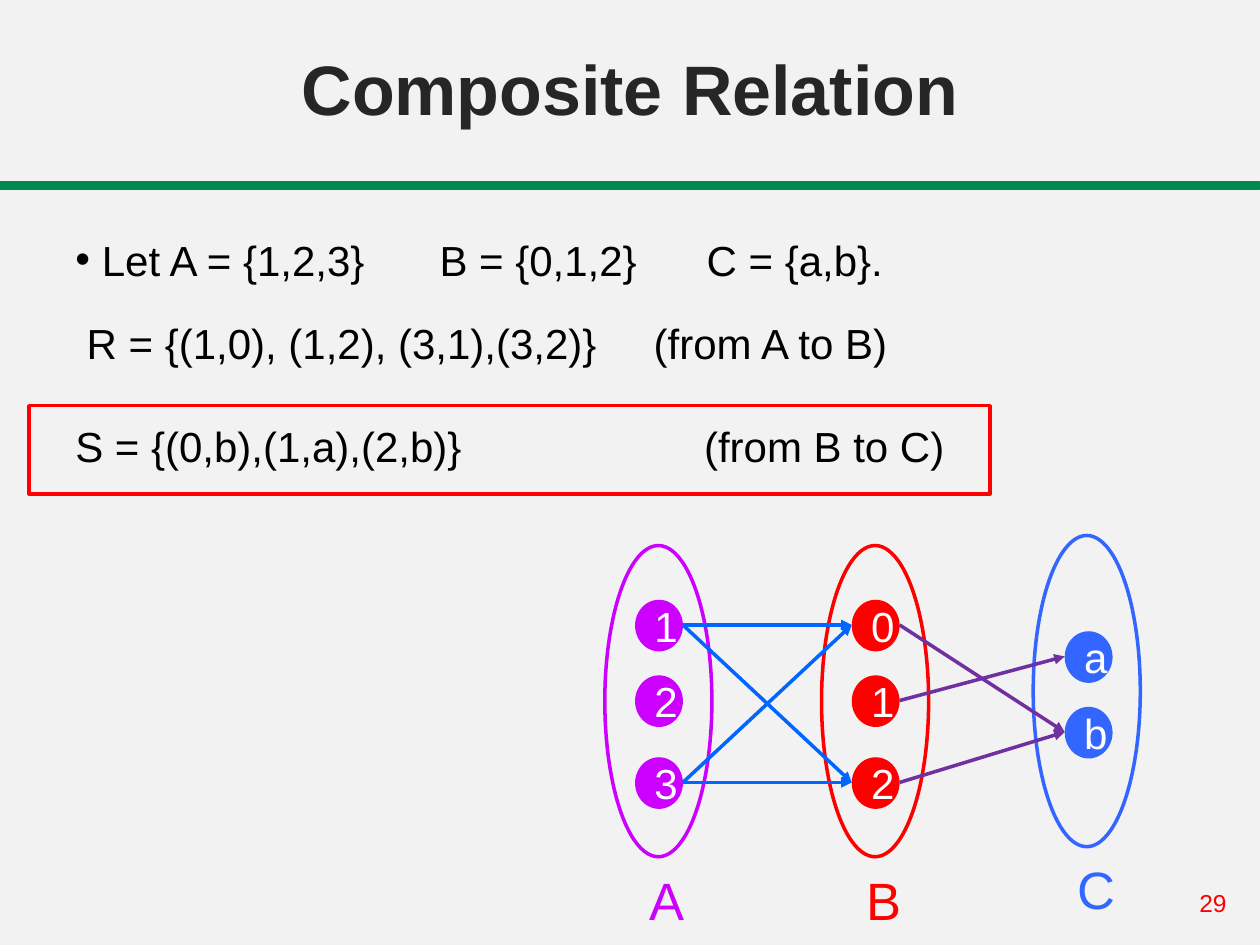
"""Build the Composite Relation slide with its three-set arrow diagram."""
import dataclasses
import typing

import lxml.etree
import pptx
import pptx.dml.color
import pptx.enum.shapes
import pptx.enum.text
import pptx.oxml.ns
import pptx.util

EMU_PER_PX = 9144
FONT = "Arial"
BLACK, WHITE, RED = "000000", "FFFFFF", "FF0000"
PURPLE, BLUE, GREEN = "CC00FF", "3366FF", "018952"
ARROW_BLUE, ARROW_PURPLE = "0066FF", "7030A0"
NODE_WIDTH, NODE_HEIGHT = 38, 41
OVAL_WIDTH, OVAL_HEIGHT = 85, 247
SHAPES = pptx.enum.shapes.MSO_SHAPE
ALIGN = pptx.enum.text.PP_ALIGN
ANCHOR = pptx.enum.text.MSO_ANCHOR


@dataclasses.dataclass(frozen=True)
class Box:
    left: int
    top: int
    width: int
    height: int


@dataclasses.dataclass(frozen=True)
class RelationSet:
    name: str
    color: str
    oval_left: int
    oval_top: int
    node_left: int
    node_tops: dict[str, int]
    label_left: int
    label_top: int


@dataclasses.dataclass(frozen=True)
class Relation:
    source: RelationSet
    target: RelationSet
    color: str
    pairs: tuple[str, ...]


SET_A = RelationSet("A", PURPLE, 480, 433, 504, {"1": 476, "2": 536, "3": 601}, 506, 684)
SET_B = RelationSet("B", RED, 652, 433, 676, {"0": 476, "1": 536, "2": 601}, 678, 684)
SET_C = RelationSet("C", BLUE, 820, 425, 845, {"a": 501, "b": 561}, 845, 675)
RELATIONS = (
    Relation(SET_A, SET_B, ARROW_BLUE, ("10", "12", "30", "32")),
    Relation(SET_B, SET_C, ARROW_PURPLE, ("0b", "1a", "2b")),
)


def px(length: int) -> pptx.util.Emu:
    """Convert pixels to EMU."""
    return pptx.util.Emu(length * EMU_PER_PX)


def rgb(color: str) -> pptx.dml.color.RGBColor:
    """Turn a hex string into a colour."""
    return pptx.dml.color.RGBColor.from_string(color)


def place(shape: typing.Any, box: Box) -> None:
    """Move and size a shape."""
    shape.left, shape.top = px(box.left), px(box.top)
    shape.width, shape.height = px(box.width), px(box.height)


def add_run(paragraph: typing.Any, text: str, size: int, color: str, bold: bool = False) -> None:
    """Append a formatted run."""
    run = paragraph.add_run()
    run.text = text
    run.font.name, run.font.size, run.font.bold = FONT, pptx.util.Pt(size), bold
    run.font.color.rgb = rgb(color)


def add_text(slide: typing.Any, box: Box, text: str, size: int = 24, color: str = BLACK) -> typing.Any:
    """Add a one-paragraph text box and return its frame."""
    frame = slide.shapes.add_textbox(*map(px, dataclasses.astuple(box))).text_frame
    frame.word_wrap = True
    add_run(frame.paragraphs[0], text, size, color)
    return frame


def set_indent(paragraph: typing.Any, margin: int, indent: int = 0) -> typing.Any:
    """Indent a paragraph and return its properties element."""
    properties = paragraph._p.get_or_add_pPr()
    properties.set("marL", str(px(margin)))
    properties.set("indent", str(px(indent)))
    return properties


def add_bullet(paragraph: typing.Any, margin: int) -> None:
    """Give a paragraph a round bullet with a hanging indent."""
    properties = set_indent(paragraph, margin, -margin)
    font = lxml.etree.SubElement(properties, pptx.oxml.ns.qn("a:buFont"))
    font.set("typeface", FONT)
    bullet = lxml.etree.SubElement(properties, pptx.oxml.ns.qn("a:buChar"))
    bullet.set("char", "•")


def add_tab_stop(paragraph: typing.Any, position: int) -> None:
    """Add a left tab stop to a paragraph."""
    properties = paragraph._p.get_or_add_pPr()
    tabs = lxml.etree.SubElement(properties, pptx.oxml.ns.qn("a:tabLst"))
    tab = lxml.etree.SubElement(tabs, pptx.oxml.ns.qn("a:tab"))
    tab.set("pos", str(px(position)))
    tab.set("algn", "l")


def add_shape(slide: typing.Any, kind: typing.Any, box: Box, fill: str = "",
              line: str = "", weight: float = 2) -> typing.Any:
    """Add a preset shape with an optional fill and outline."""
    shape = slide.shapes.add_shape(kind, *map(px, dataclasses.astuple(box)))
    shape.shadow.inherit = False
    if fill:
        shape.fill.solid()
        shape.fill.fore_color.rgb = rgb(fill)
    else:
        shape.fill.background()
    if line:
        shape.line.color.rgb = rgb(line)
        shape.line.width = pptx.util.Pt(weight)
    else:
        shape.line.fill.background()
    return shape


def add_set(slide: typing.Any, group: RelationSet) -> None:
    """Draw a set as an oval with its elements and name."""
    oval = Box(group.oval_left, group.oval_top, OVAL_WIDTH, OVAL_HEIGHT)
    add_shape(slide, SHAPES.OVAL, oval, line=group.color)
    for element, top in group.node_tops.items():
        box = Box(group.node_left, top, NODE_WIDTH, NODE_HEIGHT)
        frame = add_shape(slide, SHAPES.OVAL, box, fill=group.color).text_frame
        frame.word_wrap, frame.vertical_anchor = True, ANCHOR.MIDDLE
        frame.paragraphs[0].alignment = ALIGN.CENTER
        add_run(frame.paragraphs[0], element, 24, WHITE)
    add_text(slide, Box(group.label_left, group.label_top, 73, 61), group.name, 30, group.color)


def add_arrows(slide: typing.Any, relation: Relation) -> None:
    """Draw an arrow for each pair of a relation."""
    start_x, end_x = relation.source.node_left + NODE_WIDTH, relation.target.node_left
    for start, end in relation.pairs:
        start_y = relation.source.node_tops[start] + NODE_HEIGHT // 2
        end_y = relation.target.node_tops[end] + NODE_HEIGHT // 2
        arrow = slide.shapes.add_connector(
            pptx.enum.shapes.MSO_CONNECTOR.STRAIGHT, px(start_x), px(start_y), px(end_x), px(end_y))
        arrow.line.color.rgb = rgb(relation.color)
        arrow.line.width = pptx.util.Pt(2)
        head = lxml.etree.SubElement(arrow.line._get_or_add_ln(), pptx.oxml.ns.qn("a:tailEnd"))
        head.set("type", "triangle")
        lxml.etree.SubElement(arrow._element.spPr, pptx.oxml.ns.qn("a:effectLst"))


def add_title(slide: typing.Any) -> None:
    """Place and format the title."""
    title = slide.shapes.title
    place(title, Box(0, 0, 1000, 108))
    frame = title.text_frame
    frame.vertical_anchor = ANCHOR.BOTTOM
    frame.auto_size = pptx.enum.text.MSO_AUTO_SIZE.NONE
    frame.paragraphs[0].alignment = ALIGN.CENTER
    add_run(frame.paragraphs[0], "Composite Relation", 40, "262626", bold=True)


def add_definitions(slide: typing.Any) -> None:
    """Write the sets and the two relations."""
    first = add_text(slide, Box(50, 181, 259, 50), "Let A = {1,2,3}")
    add_bullet(first.paragraphs[0], 21)
    add_text(slide, Box(339, 181, 185, 50), "B = {0,1,2}")
    add_text(slide, Box(551, 181, 252, 50), "C = {a,b}.")
    relations = add_text(slide, Box(50, 247, 833, 131), "R = {(1,0), (1,2), (3,1),(3,2)}\t(from A to B)")
    set_indent(relations.paragraphs[0], 9)
    add_tab_stop(relations.paragraphs[0], 496)
    second = relations.add_paragraph()
    second.space_before = pptx.util.Pt(30)
    add_tab_stop(second, 499)
    add_run(second, "S = {(0,b),(1,a),(2,b)}\t(from B to C)", 24, BLACK)


def main() -> None:
    """Build and save the presentation."""
    presentation = pptx.Presentation()
    presentation.slide_width, presentation.slide_height = px(1000), px(750)
    slide = presentation.slides.add_slide(presentation.slide_layouts[5])
    slide.background.fill.solid()
    slide.background.fill.fore_color.rgb = rgb("F2F2F2")
    add_shape(slide, SHAPES.RECTANGLE, Box(0, 145, 1000, 5), GREEN, GREEN, 1.75)
    add_text(slide, Box(942, 700, 58, 34), "29", 14, RED)
    add_title(slide)
    add_definitions(slide)
    for group in (SET_A, SET_B, SET_C):
        add_set(slide, group)
    for relation in RELATIONS:
        add_arrows(slide, relation)
    add_shape(slide, SHAPES.RECTANGLE, Box(23, 322, 763, 70), line=RED)
    presentation.save("out.pptx")


if __name__ == "__main__":
    main()
